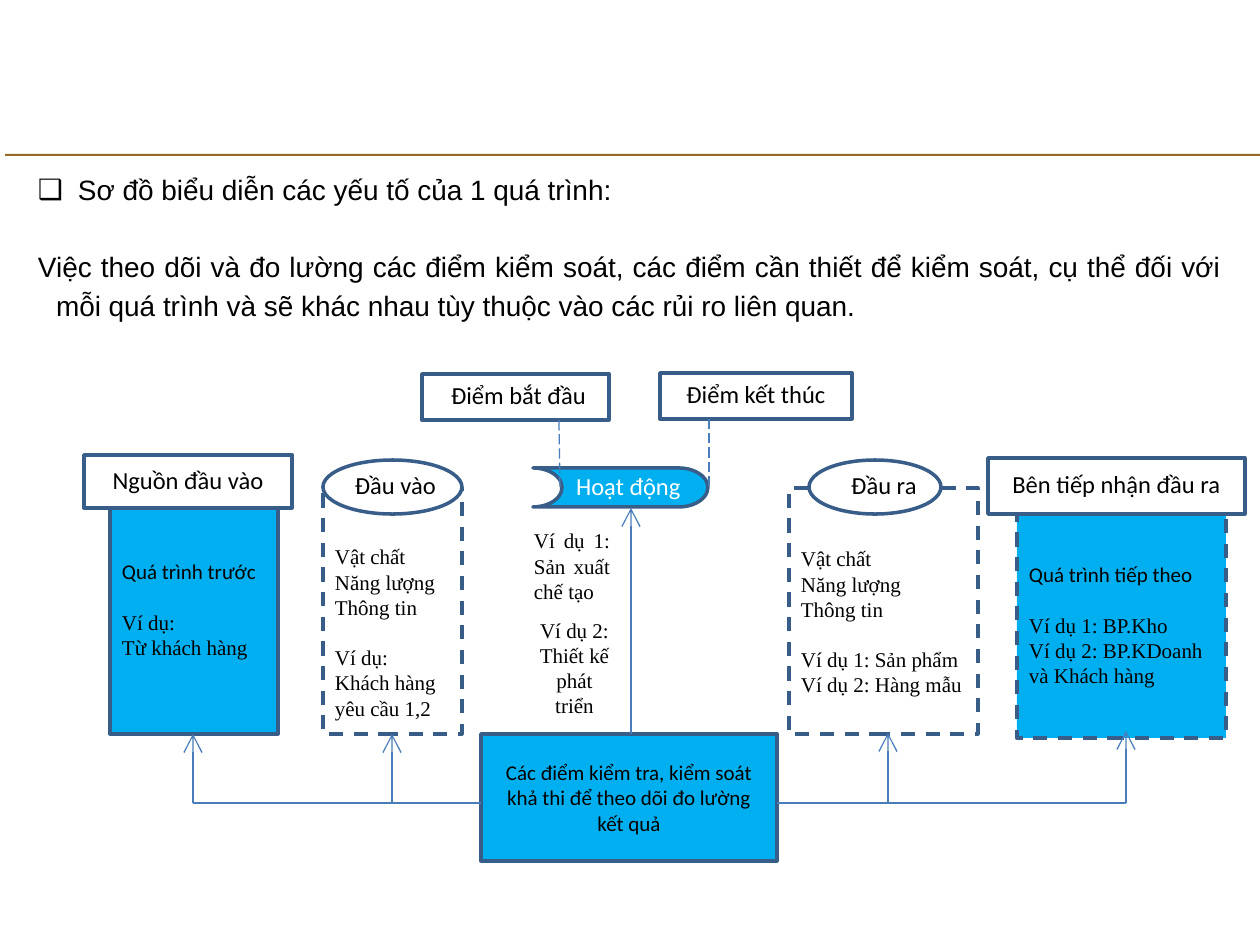
from lxml import etree
from pptx import Presentation
from pptx.dml.color import RGBColor
from pptx.enum.dml import MSO_LINE
from pptx.enum.shapes import MSO_CONNECTOR, MSO_SHAPE
from pptx.enum.text import MSO_ANCHOR, PP_ALIGN
from pptx.oxml.ns import qn
from pptx.util import Pt

PX = 914400 // 126
RECTANGLE, OVAL = MSO_SHAPE.RECTANGLE, MSO_SHAPE.OVAL
STORED_DATA = MSO_SHAPE.FLOWCHART_STORED_DATA
LEFT, CENTER, JUSTIFY = PP_ALIGN.LEFT, PP_ALIGN.CENTER, PP_ALIGN.JUSTIFY
TOP, MIDDLE = MSO_ANCHOR.TOP, MSO_ANCHOR.MIDDLE
SANS, SERIF = "Calibri", "Times New Roman"
COLORS = {name: RGBColor.from_string(value) for name, value in {
    "rule": "966824", "outline": "385D89", "arrow": "497DBA",
    "blue": "00AFF0", "white": "FFFFFF", "black": "000000"}.items()}


def add_box(kind, left, top, width, height, fill=None, dashed=False):
    shape = slide.shapes.add_shape(kind, *(n * PX for n in (left, top, width, height)))
    shape.shadow.inherit = False
    if fill:
        shape.fill.solid()
        shape.fill.fore_color.rgb = COLORS[fill]
    else:
        shape.fill.background()
    shape.line.color.rgb = COLORS["outline"]
    shape.line.width = Pt(2)
    if dashed:
        shape.line.dash_style = MSO_LINE.DASH
    return shape


def write(shape, groups, size=12, color="black", align=LEFT, anchor=TOP,
          insets=(0, 0, 0, 0), gap=14.4, wrap=True):
    """Fill a shape with (font, lines) groups, set apart by a gap in points."""
    frame = shape.text_frame
    frame.word_wrap = wrap
    frame.vertical_anchor = anchor
    frame.margin_left, frame.margin_top, frame.margin_right, frame.margin_bottom = (
        n * PX for n in insets)
    paragraph = None
    for font, lines in groups:
        for index, line in enumerate(lines):
            first = paragraph is None
            paragraph = frame.paragraphs[0] if first else frame.add_paragraph()
            paragraph.text = line
            paragraph.alignment = align
            paragraph.line_spacing = Pt(size * 1.2)
            if index == 0 and not first:
                paragraph.space_before = Pt(gap)
            paragraph.font.name = font
            paragraph.font.size = Pt(size)
            paragraph.font.color.rgb = COLORS[color]


presentation = Presentation()
presentation.slide_width, presentation.slide_height = 1260 * PX, 945 * PX
slide = presentation.slides.add_slide(presentation.slide_layouts[1])
title = slide.shapes.title
title.element.getparent().remove(title.element)

rule = add_box(RECTANGLE, 5, 154, 1255, 2, "rule")
rule.line.fill.background()

# Introduction
body = slide.placeholders[1]
body.left, body.top, body.width, body.height = (n * PX for n in (38, 168, 1183, 160))
frame = body.text_frame
frame.word_wrap = True
frame.vertical_anchor = TOP
frame.margin_left = frame.margin_top = frame.margin_right = frame.margin_bottom = 0
introduction = [
    ("Sơ đồ biểu diễn các yếu tố của 1 quá trình:", LEFT, 40, "❑"),
    ("Việc theo dõi và đo lường các điểm kiểm soát, các điểm cần thiết để kiểm soát, "
     "cụ thể đối với mỗi quá trình và sẽ khác nhau tùy thuộc vào các rủi ro liên quan.",
     JUSTIFY, 18, None),
]
for index, (text, align, hanging, bullet) in enumerate(introduction):
    paragraph = frame.add_paragraph() if index else frame.paragraphs[0]
    paragraph.text = text
    properties = paragraph._p.get_or_add_pPr()
    properties.set("marL", str(hanging * PX))
    properties.set("indent", str(-hanging * PX))
    if bullet:
        etree.SubElement(properties, qn("a:buChar")).set("char", bullet)
    else:
        etree.SubElement(properties, qn("a:buNone"))
    paragraph.alignment = align
    paragraph.line_spacing = Pt(22)
    paragraph.space_before = Pt(22 * index)
    paragraph.font.name = "Arial"
    paragraph.font.size = Pt(16)
    paragraph.font.color.rgb = COLORS["black"]

# Panels with the content of each element
resources = ["Vật chất", "Năng lượng", "Thông tin"]
panels = [
    (110, 508, 168, 226, "blue", False, 51,
     [(SANS, ["Quá trình trước"]), (SERIF, ["Ví dụ:", "Từ khách hàng"])]),
    (323, 488, 139, 246, None, True, 56,
     [(SERIF, resources), (SERIF, ["Ví dụ:", "Khách hàng", "yêu cầu 1,2"])]),
    (789, 488, 189, 246, None, True, 58,
     [(SERIF, resources), (SERIF, ["Ví dụ 1: Sản phẩm", "Ví dụ 2: Hàng mẫu"])]),
    (1017, 514, 209, 224, "blue", True, 48,
     [(SANS, ["Quá trình tiếp theo"]),
      (SERIF, ["Ví dụ 1: BP.Kho", "Ví dụ 2: BP.KDoanh", "và Khách hàng"])]),
]
for left, top, width, height, fill, dashed, text_top, groups in panels:
    panel = add_box(RECTANGLE, left, top, width, height, fill, dashed)
    write(panel, groups, insets=(12, text_top, 0, 0))

# Headings; the last number is the left inset of the text
headings = [
    ("Điểm bắt đầu", RECTANGLE, 422, 374, 187, 46, None, "black", 6),
    ("Điểm kết thúc", RECTANGLE, 660, 373, 192, 46, None, "black", 0),
    ("Nguồn đầu vào", RECTANGLE, 84, 455, 208, 53, None, "black", 0),
    ("Đầu vào", OVAL, 323, 460, 139, 54, "white", "black", 6),
    ("Hoạt động", STORED_DATA, 533, 468, 175, 39, "blue", "white", 16),
    ("Đầu ra", OVAL, 809, 460, 132, 54, "white", "black", 18),
    ("Bên tiếp nhận đầu ra", RECTANGLE, 988, 458, 257, 56, None, "black", 0),
]
for text, kind, left, top, width, height, fill, color, inset in headings:
    heading = add_box(kind, left, top, width, height, fill)
    if kind == STORED_DATA:
        heading.element.spPr.get_or_add_xfrm().set("flipH", "1")
    write(heading, [(SANS, [text])], 14, color, CENTER, MIDDLE,
          insets=(inset, 0, 0, 4), wrap=False)

checkpoints = add_box(RECTANGLE, 481, 734, 296, 127, "blue")
write(checkpoints,
      [(SANS, ["Các điểm kiểm tra, kiểm soát khả thi để theo dõi đo lường kết quả"])],
      align=CENTER, anchor=MIDDLE, insets=(23, 0, 23, 0))

examples = slide.shapes.add_textbox(*(n * PX for n in (534, 528, 76, 194)))
write(examples, [(SERIF, ["Ví dụ 1: Sản xuất chế tạo"]),
                 (SERIF, ["Ví dụ 2: Thiết kế phát triển"])], align=JUSTIFY, gap=7.8)
second_example = examples.text_frame.paragraphs[1]
second_example.alignment = CENTER
second_example._p.get_or_add_pPr().set("marL", str(5 * PX))

# Lines: start, end, dashed, arrowhead
lines = [
    (559, 420, 560, 488, True, False),
    (709, 419, 709, 488, True, False),
    (481, 803, 193, 803, False, False),
    (777, 803, 1126, 803, False, False),
    (193, 803, 193, 734, False, True),
    (392, 803, 392, 734, False, True),
    (631, 734, 631, 508, False, True),
    (888, 803, 888, 733, False, True),
    (1126, 803, 1126, 731, False, True),
]
for *ends, dashed, arrowhead in lines:
    connector = slide.shapes.add_connector(MSO_CONNECTOR.STRAIGHT, *(n * PX for n in ends))
    connector.line.color.rgb = COLORS["arrow"]
    connector.line.width = Pt(0.75)
    if dashed:
        connector.line.dash_style = MSO_LINE.LONG_DASH
    if arrowhead:
        tail = etree.SubElement(connector.line._get_or_add_ln(), qn("a:tailEnd"))
        for name, value in (("type", "arrow"), ("w", "lg"), ("len", "lg")):
            tail.set(name, value)
    etree.SubElement(connector.element.spPr, qn("a:effectLst"))

presentation.save("out.pptx")
